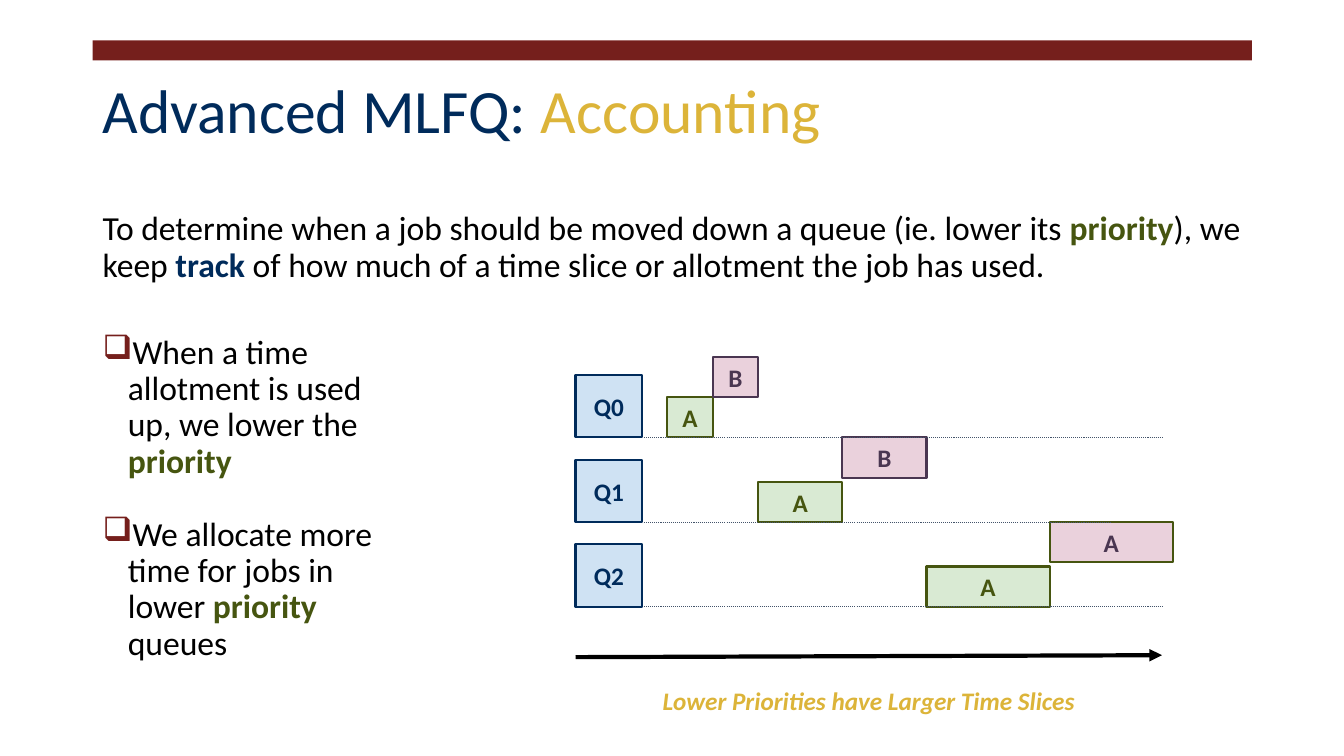
from lxml import etree
from pptx import Presentation
from pptx.dml.color import RGBColor
from pptx.enum import dml, shapes, text
from pptx.oxml import ns
from pptx.util import Pt

NAVY = RGBColor(0x00, 0x2B, 0x5B)
GOLD = RGBColor(0xDC, 0xB4, 0x39)
MAROON = RGBColor(0x75, 0x1F, 0x1C)
OLIVE = RGBColor(0x46, 0x55, 0x10)
PLUM = RGBColor(0x4A, 0x36, 0x51)
SLATE = RGBColor(0x44, 0x54, 0x6A)
BLACK = RGBColor(0x00, 0x00, 0x00)
PALE_BLUE = RGBColor(0xCF, 0xE2, 0xF3)
PALE_GREEN = RGBColor(0xD9, 0xEA, 0xD3)
PALE_PINK = RGBColor(0xEA, 0xD1, 0xDC)

FONT = "Calibri"
INSET = 7.2
MARGIN, CONTENT_WIDTH = 66.24, 828

# Queue chart geometry
QUEUE_LEFT, QUEUE_TOP = 411.1, 267.84
QUEUE_WIDTH, QUEUE_HEIGHT, QUEUE_PITCH = 47.5, 44.64, 60.5
JOB_LEFT, JOB_HEIGHT = 476.64, 28.8
BASELINE_LEFT, CHART_RIGHT = 460, 830

# Per queue: job width, height of the upper job's top above the baseline,
# upper job's label and outline, right end of the baseline
QUEUES = [
    (32.4, 2 * JOB_HEIGHT, "B", PLUM, CHART_RIGHT),
    (60.2, QUEUE_PITCH, "B", PLUM, 794),
    (88, QUEUE_PITCH, "A", OLIVE, CHART_RIGHT),
]


def set_frame(frame, anchor):
    frame.word_wrap = True
    frame.vertical_anchor = anchor
    frame.margin_left = frame.margin_right = Pt(INSET)
    frame.margin_top = frame.margin_bottom = Pt(INSET)


def add_run(paragraph, words, size, color, bold=False, italic=False):
    run = paragraph.add_run()
    run.text = words
    run.font.name = FONT
    run.font.size = Pt(size)
    run.font.bold = bold
    run.font.italic = italic
    run.font.color.rgb = color


def add_text_box(slide, left, top, width, height, anchor):
    box = slide.shapes.add_textbox(Pt(left), Pt(top), Pt(width), Pt(height))
    set_frame(box.text_frame, anchor)
    return box.text_frame


def add_block(slide, left, top, width, height, fill, outline=None):
    block = slide.shapes.add_shape(shapes.MSO_SHAPE.RECTANGLE,
                                   Pt(left), Pt(top), Pt(width), Pt(height))
    block.shadow.inherit = False
    block.fill.solid()
    block.fill.fore_color.rgb = fill
    if outline is None:
        block.line.fill.background()
    else:
        block.line.color.rgb = outline
        block.line.width = Pt(1.5)
    return block


def add_labelled_block(slide, bounds, fill, outline, label, color):
    frame = add_block(slide, *bounds, fill, outline).text_frame
    set_frame(frame, text.MSO_ANCHOR.MIDDLE)
    paragraph = frame.paragraphs[0]
    paragraph.alignment = text.PP_ALIGN.CENTER
    add_run(paragraph, label, 18, color, bold=True)


def add_line(slide, start, end, color, width):
    line = slide.shapes.add_connector(shapes.MSO_CONNECTOR.STRAIGHT,
                                      *map(Pt, start), *map(Pt, end))
    line.line.color.rgb = color
    line.line.width = Pt(width)
    etree.SubElement(line._element.spPr, ns.qn("a:effectLst"))
    return line


def set_bullet(paragraph):
    props = paragraph._p.get_or_add_pPr()
    props.set("marL", str(Pt(18)))
    props.set("indent", str(Pt(-30)))
    color = etree.SubElement(props, ns.qn("a:buClr"))
    etree.SubElement(color, ns.qn("a:srgbClr"), val=str(MAROON))
    etree.SubElement(props, ns.qn("a:buChar"), char="❑")


def fill_body_paragraph(paragraph, lines, space_before):
    """Each line is a list of (words, highlight colour or None)."""
    paragraph.line_spacing = 0.9
    paragraph.space_before = Pt(space_before)
    for number, line in enumerate(lines):
        if number:
            paragraph.add_line_break()
        for words, highlight in line:
            add_run(paragraph, words, 24, highlight or BLACK,
                    bold=highlight is not None)


def add_title(slide):
    add_block(slide, MARGIN, 28.8, CONTENT_WIDTH, 14.4, MAROON)
    frame = add_text_box(slide, MARGIN, 28.8, CONTENT_WIDTH, 104.4,
                         text.MSO_ANCHOR.MIDDLE)
    title = frame.paragraphs[0]
    title.line_spacing = 0.9
    add_run(title, "Advanced MLFQ: ", 44, NAVY)
    add_run(title, "Accounting", 44, GOLD)


def add_body(slide):
    frame = add_text_box(slide, MARGIN, 144, CONTENT_WIDTH, 385.2,
                         text.MSO_ANCHOR.TOP)
    intro = [[
        ("To determine when a job should be moved down a queue "
         "(ie. lower its ", None),
        ("priority", OLIVE),
        ("), we keep ", None),
        ("track", NAVY),
        (" of how much of a time slice or allotment the job has used.", None),
    ]]
    fill_body_paragraph(frame.paragraphs[0], intro, 10)

    bullets = [
        (36.4, [[("When a time ", None)],
                [("allotment is used ", None)],
                [("up, we lower the ", None)],
                [("priority", OLIVE)]]),
        (26.4, [[("We allocate more ", None)],
                [("time for jobs in ", None)],
                [("lower ", None), ("priority ", OLIVE)],
                [("queues", None)]]),
    ]
    for space_before, lines in bullets:
        bullet = frame.add_paragraph()
        fill_body_paragraph(bullet, lines, space_before)
        set_bullet(bullet)


def add_queue_chart(slide):
    job_left = JOB_LEFT
    baselines = []
    for number, (width, lift, label, outline, right) in enumerate(QUEUES):
        top = QUEUE_TOP + number * QUEUE_PITCH
        bottom = top + QUEUE_HEIGHT
        add_labelled_block(slide, (QUEUE_LEFT, top, QUEUE_WIDTH, QUEUE_HEIGHT),
                           PALE_BLUE, NAVY, f"Q{number}", NAVY)
        # Lower job, then the upper job that runs after it
        add_labelled_block(
            slide, (job_left, bottom - JOB_HEIGHT, width, JOB_HEIGHT),
            PALE_GREEN, OLIVE, "A", OLIVE)
        add_labelled_block(
            slide, (job_left + width, bottom - lift, width, JOB_HEIGHT),
            PALE_PINK, outline, label, PLUM)
        job_left += 2 * width
        baselines.append((bottom, right))

    # Dotted baselines lie over the blocks
    for bottom, right in baselines:
        baseline = add_line(slide, (BASELINE_LEFT, bottom), (right, bottom),
                            SLATE, 0.75)
        baseline.line.dash_style = dml.MSO_LINE.ROUND_DOT


def add_time_axis(slide):
    axis = add_line(slide, (QUEUE_LEFT, 469.4), (CHART_RIGHT, 468), BLACK, 3)
    etree.SubElement(axis.line._get_or_add_ln(), ns.qn("a:tailEnd"),
                     type="triangle")
    frame = add_text_box(slide, QUEUE_LEFT, 469.4, CHART_RIGHT - QUEUE_LEFT,
                         61.2, text.MSO_ANCHOR.MIDDLE)
    caption = frame.paragraphs[0]
    caption.alignment = text.PP_ALIGN.CENTER
    add_run(caption, "Lower Priorities have Larger Time Slices", 18, GOLD,
            bold=True, italic=True)


def main():
    deck = Presentation()
    deck.slide_width, deck.slide_height = Pt(960), Pt(540)
    slide = deck.slides.add_slide(deck.slide_layouts[6])
    add_title(slide)
    add_body(slide)
    add_time_axis(slide)
    add_queue_chart(slide)
    deck.save("out.pptx")


if __name__ == "__main__":
    main()
